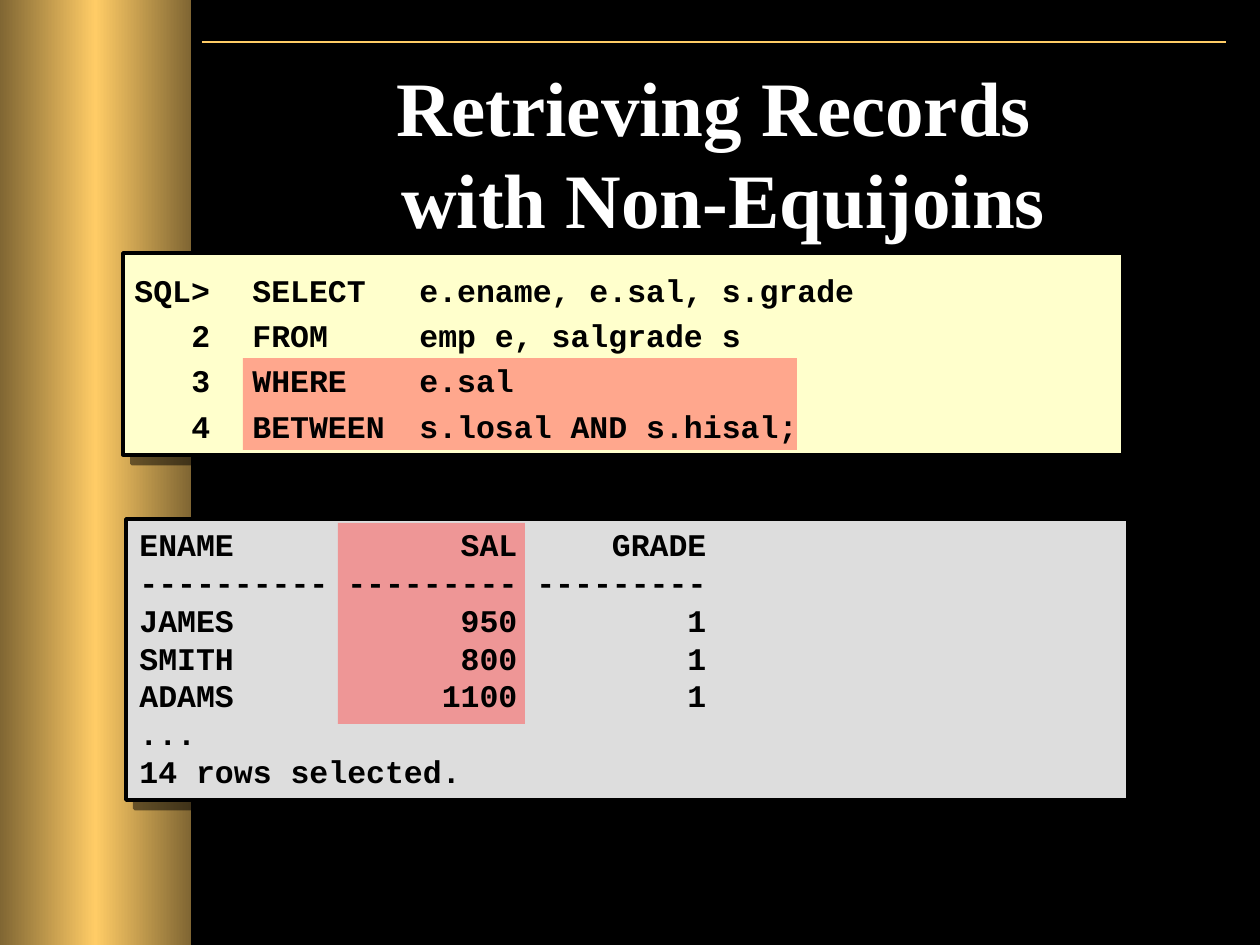
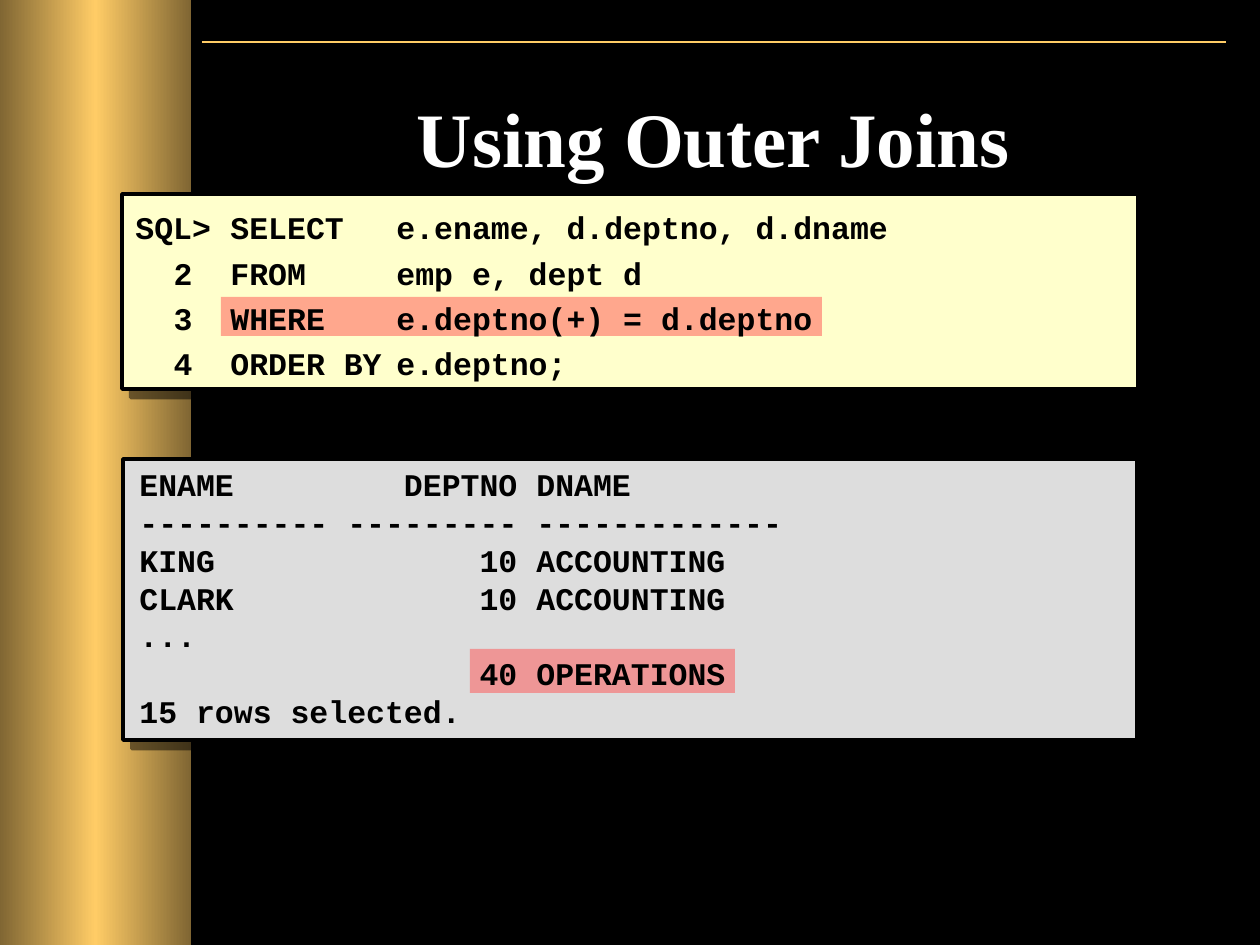
from lxml import etree
from pptx import Presentation
from pptx import util as u
from pptx.dml import color as col
from pptx.enum import shapes, text
from pptx.oxml import ns

PX = 914400 / 126  # EMU per px
WIDE, HIGH = 1260, 945
INK = {
    "back": "000000", "title": "FFFFFF", "text": "000000", "edge": "000000",
    "gold": "FFCC66", "dark": "806633", "code": "FFFFCC", "rows": "DDDDDD",
    "mark": "FF5050",
}
MONO, SERIF = "Courier New", "Times New Roman"


def emu(px):
    return u.Emu(round(px * PX))


def rgb(name):
    return col.RGBColor.from_string(INK[name])


def sub(node, tag, **attrs):
    """Add a DrawingML child and return it."""
    kid = etree.SubElement(node, ns.qn("a:" + tag))
    for key, val in attrs.items():
        kid.set(key, str(val))
    return kid


def tint(node, name, alpha=None):
    clr = sub(node, "srgbClr", val=INK[name])
    if alpha:
        sub(clr, "alpha", val=alpha * 1000)


def rect(slide, box, fill, alpha=None):
    shape = slide.shapes.add_shape(shapes.MSO_SHAPE.RECTANGLE, *map(emu, box))
    shape.shadow.inherit = False
    shape.line.fill.background()
    shape.fill.solid()
    shape.fill.fore_color.rgb = rgb(fill)
    if alpha:
        clr = shape.fill._xPr.find(".//" + ns.qn("a:srgbClr"))
        sub(clr, "alpha", val=alpha * 1000)
    return shape


def write(slide, box, words, size=18, font=MONO, ink="text", align=None,
          anchor=text.MSO_ANCHOR.TOP, space=None, stops=(), lead=None):
    """Write text; lead is a right tab stop for lines that open with a tab."""
    area = slide.shapes.add_textbox(*map(emu, box))
    frame = area.text_frame
    frame.word_wrap = True
    frame.vertical_anchor = anchor
    frame.text = words
    for para in frame.paragraphs:
        para.alignment = align
        if space:
            para.line_spacing = space
        tabs = list(stops)
        if lead and para.text.startswith("\t"):
            tabs.insert(0, (lead, "r"))
        if tabs:
            group = sub(para._p.get_or_add_pPr(), "tabLst")
            for pos, side in tabs:
                sub(group, "tab", pos=emu(pos), algn=side)
        for run in para.runs:
            run.font.size = u.Pt(size)
            run.font.name = font
            run.font.bold = True
            run.font.color.rgb = rgb(ink)


def base(deck, head, left, top):
    """Slide with background, rule, gold band and title."""
    slide = deck.slides.add_slide(deck.slide_layouts[6])
    slide.background.fill.solid()
    slide.background.fill.fore_color.rgb = rgb("back")

    # Rule along the top
    rule = slide.shapes.add_connector(
        shapes.MSO_CONNECTOR.STRAIGHT, *map(emu, (202, 42, 1226, 42)))
    rule.line.color.rgb = rgb("gold")
    rule.line.width = u.Pt(1)
    sub(rule._element.spPr, "effectLst")

    # Gold band
    band = rect(slide, (0, 0, 191, HIGH), "gold")
    band.fill.gradient()
    band.fill.gradient_angle = 0
    grad = band.fill._xPr.find(".//" + ns.qn("a:gsLst"))
    for stop in list(grad):
        grad.remove(stop)
    for pos, name in ((0, "dark"), (50, "gold"), (100, "dark")):
        tint(sub(grad, "gs", pos=pos * 1000), name)

    write(slide, (left, top, 1027, 158), head, size=44, font=SERIF,
          ink="title", align=text.PP_ALIGN.CENTER)
    return slide


def panel(slide, box, fill, mark, words, shift, **form):
    """Shadowed box with text; mark and shift are relative to its corner."""
    left, top, wide, high = box
    card = rect(slide, box, fill)
    card.line.color.rgb = rgb("edge")
    card.line.width = u.Pt(2)
    glow = card._element.spPr.find(ns.qn("a:effectLst"))
    tint(sub(glow, "outerShdw", blurRad=0, dist=u.Pt(7.1), dir=45 * 60000,
             algn="ctr", rotWithShape=0), "edge", 50)

    x, y, w, h = mark
    rect(slide, (left + x, top + y, w, h), "mark", 50)
    write(slide, (left + shift, top, wide, high), words, **form)


def code(slide, box, mark, words, shift, stops, lead):
    panel(slide, box, "code", mark, words, shift, space=1.2, lead=lead,
          anchor=text.MSO_ANCHOR.MIDDLE, stops=[(pos, "l") for pos in stops])


def rows(slide, box, mark, words, shift, stops):
    panel(slide, box, "rows", mark, words, shift, stops=stops)


def nonequi(deck):
    slide = base(deck, "Retrieving Records \vwith Non-Equijoins", 210, 53)
    code(slide, (123, 253, 1000, 202), (120, 105, 554, 92),
         "SQL>\tSELECT\te.ename, e.sal, s.grade\n"
         "\t2\tFROM\temp e, salgrade s\n"
         "\t3\tWHERE\te.sal\n"
         "\t4\tBETWEEN\ts.losal AND s.hisal;",
         shift=-1, stops=(118, 285), lead=76)
    rows(slide, (126, 519, 1002, 281), (212, 4, 187, 201),
         "ENAME\tSAL\tGRADE\n"
         "---------- --------- ---------\n"
         "JAMES\t950\t1\n"
         "SMITH\t800\t1\n"
         "ADAMS\t1100\t1\n"
         "...\n"
         "14 rows selected.",
         shift=1, stops=((378, "r"), (567, "r")))


def outer(deck):
    slide = base(deck, "Using Outer Joins", 200, 84)
    code(slide, (122, 194, 1016, 195), (99, 103, 601, 39),
         "SQL>\tSELECT\te.ename, d.deptno, d.dname\n"
         "\t2\tFROM\temp e, dept d\n"
         "\t3\tWHERE\te.deptno(+) = d.deptno\n"
         "\t4\tORDER BY\te.deptno;",
         shift=1, stops=(95, 261), lead=57)
    rows(slide, (123, 459, 1014, 281), (347, 190, 265, 44),
         "ENAME\tDEPTNO\tDNAME\n"
         "---------- --------- -------------\n"
         "KING\t10\tACCOUNTING\n"
         "CLARK\t10\tACCOUNTING\n"
         "...\n"
         "\t40\tOPERATIONS\n"
         "15 rows selected.",
         shift=4, stops=((378, "r"), (397, "l")))


def main():
    deck = Presentation()
    deck.slide_width, deck.slide_height = emu(WIDE), emu(HIGH)
    nonequi(deck)
    outer(deck)
    deck.save("out.pptx")


if __name__ == "__main__":
    main()
